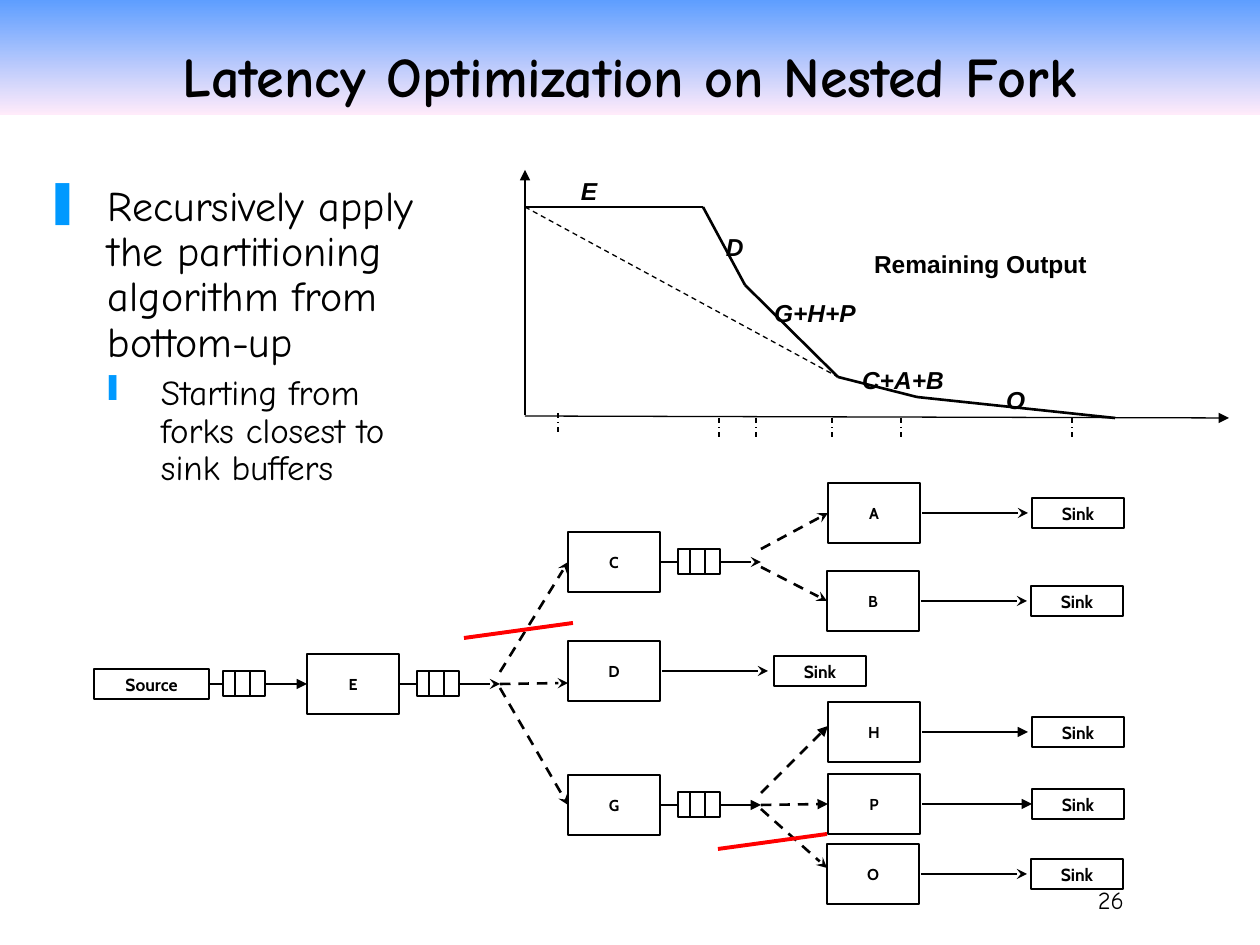
from itertools import pairwise

from lxml.etree import SubElement
from pptx import Presentation
from pptx.dml.color import RGBColor
from pptx.enum.dml import MSO_LINE
from pptx.enum.shapes import MSO_CONNECTOR, MSO_SHAPE
from pptx.enum.text import MSO_ANCHOR, PP_ALIGN
from pptx.oxml.ns import qn
from pptx.util import Pt

EMU_PER_PX = 914400 / 126
TOP, LEFT, BOTTOM, RIGHT = range(4)
NODE_WIDTH, NODE_HEIGHT = 92, 60
SMALL_HEIGHT = 30
BUFFER_WIDTH, BUFFER_HEIGHT = 42, 25


def px(*lengths):
    return [round(length * EMU_PER_PX) for length in lengths]


def colour(value):
    return RGBColor.from_string(value)


def add_text(para, text, size, font="Comic Neue", bold=False, italic=False, align=PP_ALIGN.LEFT):
    para.alignment = align
    span = para.add_run()
    span.text = text
    span.font.name = font
    span.font.size = Pt(size)
    span.font.bold = bold
    span.font.italic = italic
    span.font.color.rgb = colour("000000")


def set_frame(frame, insets=(13, 6, 13, 6), anchor=MSO_ANCHOR.TOP):
    frame.word_wrap = True
    frame.vertical_anchor = anchor
    frame.margin_left, frame.margin_top, frame.margin_right, frame.margin_bottom = px(*insets)
    return frame


def add_box(page, left, top, width, height, text="", size=10, weight=0.75):
    box = page.shapes.add_shape(MSO_SHAPE.RECTANGLE, *px(left, top, width, height))
    box.shadow.inherit = False
    box.fill.solid()
    box.fill.fore_color.rgb = colour("FFFFFF")
    box.line.color.rgb = colour("000000")
    box.line.width = Pt(weight)
    if text:
        frame = set_frame(box.text_frame, (4, 4, 4, 4), MSO_ANCHOR.MIDDLE)
        add_text(frame.paragraphs[0], text, size, "Cabin", bold=True, align=PP_ALIGN.CENTER)
    return box


def add_line(page, start, end, weight=1.5, dash=None, head=None, shade="000000"):
    line = page.shapes.add_connector(MSO_CONNECTOR.STRAIGHT, *px(*start, *end))
    line.line.color.rgb = colour(shade)
    line.line.width = Pt(weight)
    if dash:
        line.line.dash_style = dash
    properties = line._element.spPr
    if head:
        SubElement(properties.find(qn("a:ln")), qn("a:tailEnd"), type=head)
    SubElement(properties, qn("a:effectLst"))
    return line


def add_title(page, left, top, width, height):
    band = page.shapes.add_shape(MSO_SHAPE.RECTANGLE, *px(left, top, width, height))
    band.shadow.inherit = False
    band.line.fill.background()
    band.fill.gradient()
    band.fill.gradient_angle = 270
    for stop, shade, position in zip(band.fill.gradient_stops, ("5E9EFF", "FFEBFA"), (0, 1)):
        stop.color.rgb = colour(shade)
        stop.position = position
    frame = set_frame(band.text_frame, anchor=MSO_ANCHOR.BOTTOM)
    add_text(frame.paragraphs[0], "Latency Optimization on Nested Fork", 32, bold=True, align=PP_ALIGN.CENTER)


def add_bullets(page, left, top, width, height):
    frame = set_frame(page.shapes.add_textbox(*px(left, top, width, height)).text_frame)
    bullets = [
        ("Recursively apply the partitioning algorithm from bottom-up", 24, "❚", 63, 63, 0),
        ("Starting from forks closest to sink buffers", 20, "❙", 116, 53, 5),
    ]
    for level, (text, size, mark, margin, hanging, before) in enumerate(bullets):
        para = frame.add_paragraph() if level else frame.paragraphs[0]
        para.level = level
        para.line_spacing = 0.9
        para.space_before = Pt(before)
        properties = para._p.get_or_add_pPr()
        properties.set("marL", str(px(margin)[0]))
        properties.set("indent", str(-px(hanging)[0]))
        SubElement(SubElement(properties, qn("a:buClr")), qn("a:srgbClr"), val="0099FF")
        SubElement(properties, qn("a:buChar"), char=mark)
        add_text(para, text, size)


def add_output_curve(page, left, top):
    def at(x, y):
        return left + x, top + y

    add_line(page, at(0, 246), at(704, 248), 0.75, head="triangle")
    add_line(page, at(0, 245), at(0, 0), 0.75, head="triangle")
    curve = [(0, 37), (178, 37), (220, 115), (313, 207), (392, 227), (590, 248)]
    for start, end in pairwise(curve):
        add_line(page, at(*start), at(*end))
    add_line(page, at(*curve[0]), at(*curve[3]), 0.75, MSO_LINE.DASH)

    labels = [
        ("E", 43, 0, 158, 13), ("D", 188, 56, 102, 13), ("G+H+P", 236, 122, 218, 13),
        ("C+A+B", 324, 189, 218, 13), ("O", 468, 209, 105, 13),
        ("Remaining Output", 105, 73, 575, 244),
    ]
    for text, x, y, width, inset in labels:
        box = page.shapes.add_textbox(*px(*at(x, y), width, 43))
        frame = set_frame(box.text_frame, (inset, 6, 13, 6))
        add_text(frame.paragraphs[0], text, 14, "Arial", bold=True, italic=text != "Remaining Output")

    for x, y in [(33, 243), *((x, 248) for x in (194, 231, 307, 376, 547))]:
        add_line(page, at(x, y), at(x, y + 20), 0.75, MSO_LINE.DASH_DOT)


def add_buffered_line(page, source, start, end, gap, head):
    line = add_line(page, start, end, head=head)
    line.begin_connect(source, RIGHT)
    left, top = start[0] + gap, start[1] - 13
    add_box(page, left, top, BUFFER_WIDTH, BUFFER_HEIGHT)
    for offset in (12, 27):
        add_line(page, (left + offset, top), (left + offset, top + BUFFER_HEIGHT), 0.75)
    return line


def add_fork_diagram(page, left, top):
    places = {
        "E": (213, 172), "C": (474, 50), "D": (474, 159), "G": (474, 293), "A": (734, 1),
        "B": (733, 89), "H": (734, 220), "P": (734, 292), "O": (733, 362),
    }
    places = {name: (left + x, top + y) for name, (x, y) in places.items()}
    nodes = {
        name: add_box(page, *place, NODE_WIDTH, NODE_HEIGHT, name, 9, 1.5)
        for name, place in places.items()
    }

    source_top = top + 187
    source = add_box(page, left, source_top, 115, SMALL_HEIGHT, "Source")
    middle = source_top + SMALL_HEIGHT // 2
    feed = add_buffered_line(page, source, (left + 115, middle), (left + 213, middle), 14, "triangle")
    feed.end_connect(nodes["E"], LEFT)

    for name in "ABDHPO":
        x, y = places[name]
        middle = y + NODE_HEIGHT // 2
        sink_left = x + (206 if name == "D" else 204)
        sink = add_box(page, sink_left, middle - SMALL_HEIGHT // 2, NODE_WIDTH, SMALL_HEIGHT, "Sink")
        head = "triangle" if name in "HP" else "stealth"
        arrow = add_line(page, (x + 94, middle), (x + 200, middle), head=head)
        if name == "P":
            arrow.end_connect(sink, LEFT)

    forks = {
        "E": [("C", -12, 0), ("D", 0, 12), ("G", 4, 0)],
        "C": [("A", -13, 0), ("B", 5, 0)],
        "G": [("H", -12, -6), ("P", 0, 0), ("O", 4, -6)],
    }
    for name, branches in forks.items():
        x, y = places[name]
        middle = y + NODE_HEIGHT // 2
        right = x + NODE_WIDTH
        fork = right + 101
        head = "triangle" if name == "G" else "stealth"
        add_buffered_line(page, nodes[name], (right, middle), (fork, middle), 18, head)
        for target, start_shift, end_shift in branches:
            target_x, target_y = places[target]
            end = target_x, target_y + NODE_HEIGHT // 2 + end_shift
            head = "triangle" if target in "HP" else "stealth"
            branch = add_line(page, (fork, middle + start_shift), end, dash=MSO_LINE.DASH, head=head)
            if end_shift == 0:
                branch.end_connect(nodes[target], LEFT)

    for x, y in [(624, 367), (370, 156)]:
        add_line(page, (left + x, top + y), (left + x + 109, top + y - 15), 2.25, shade="FF0000")


def add_page_number(page, left, top, width, height):
    box = page.shapes.add_textbox(*px(left, top, width, height))
    frame = set_frame(box.text_frame, (13, 6, 0, 0), MSO_ANCHOR.BOTTOM)
    add_text(frame.paragraphs[0], "26", 14, align=PP_ALIGN.RIGHT)


def main():
    deck = Presentation()
    deck.slide_width, deck.slide_height = px(1260, 945)
    page = deck.slides.add_slide(deck.slide_layouts[6])
    add_page_number(page, 977, 851, 147, 63)
    add_title(page, 0, 0, 1260, 115)
    add_bullets(page, 32, 179, 420, 388)
    add_output_curve(page, 525, 170)
    add_fork_diagram(page, 94, 482)
    deck.save("out.pptx")


if __name__ == "__main__":
    main()
